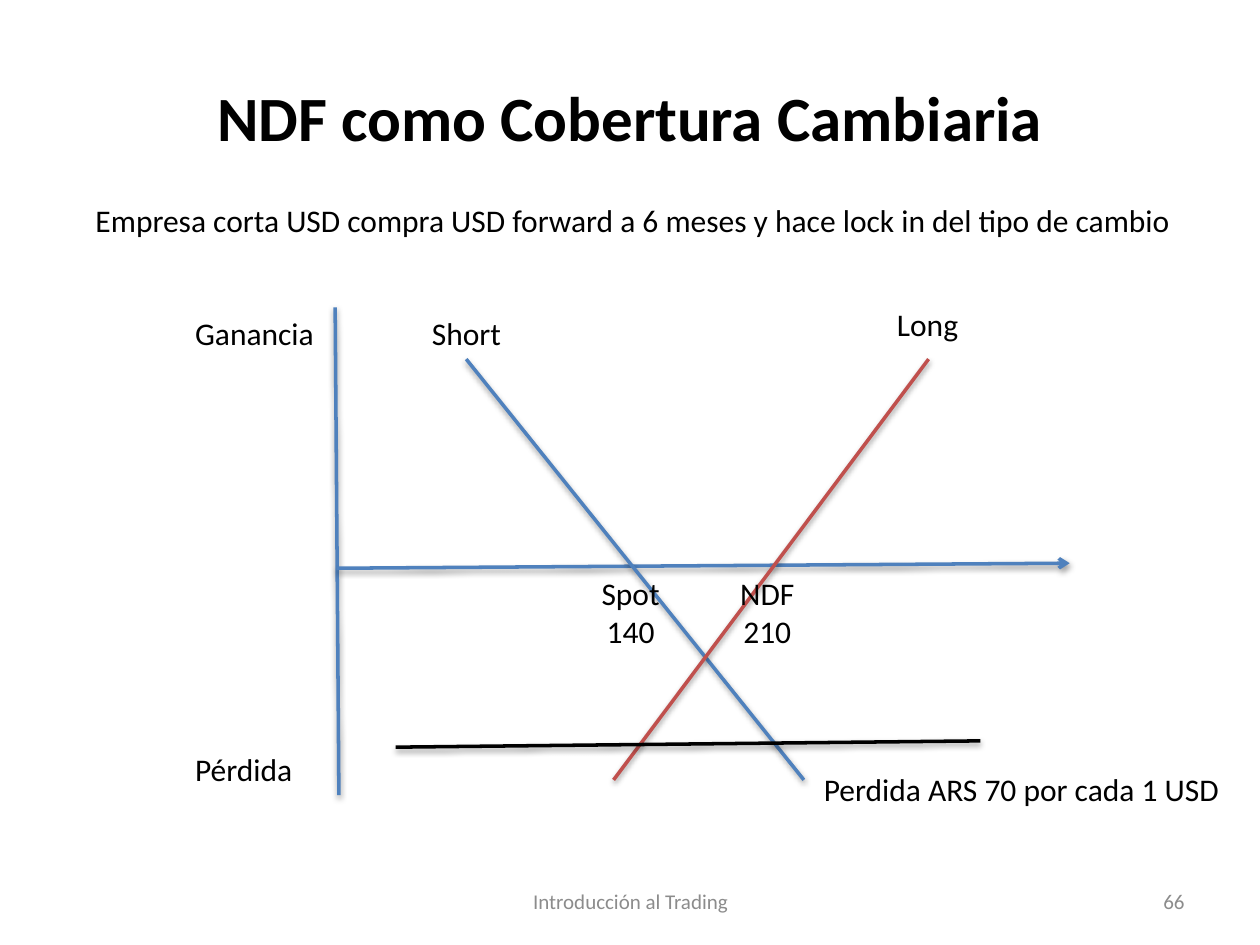
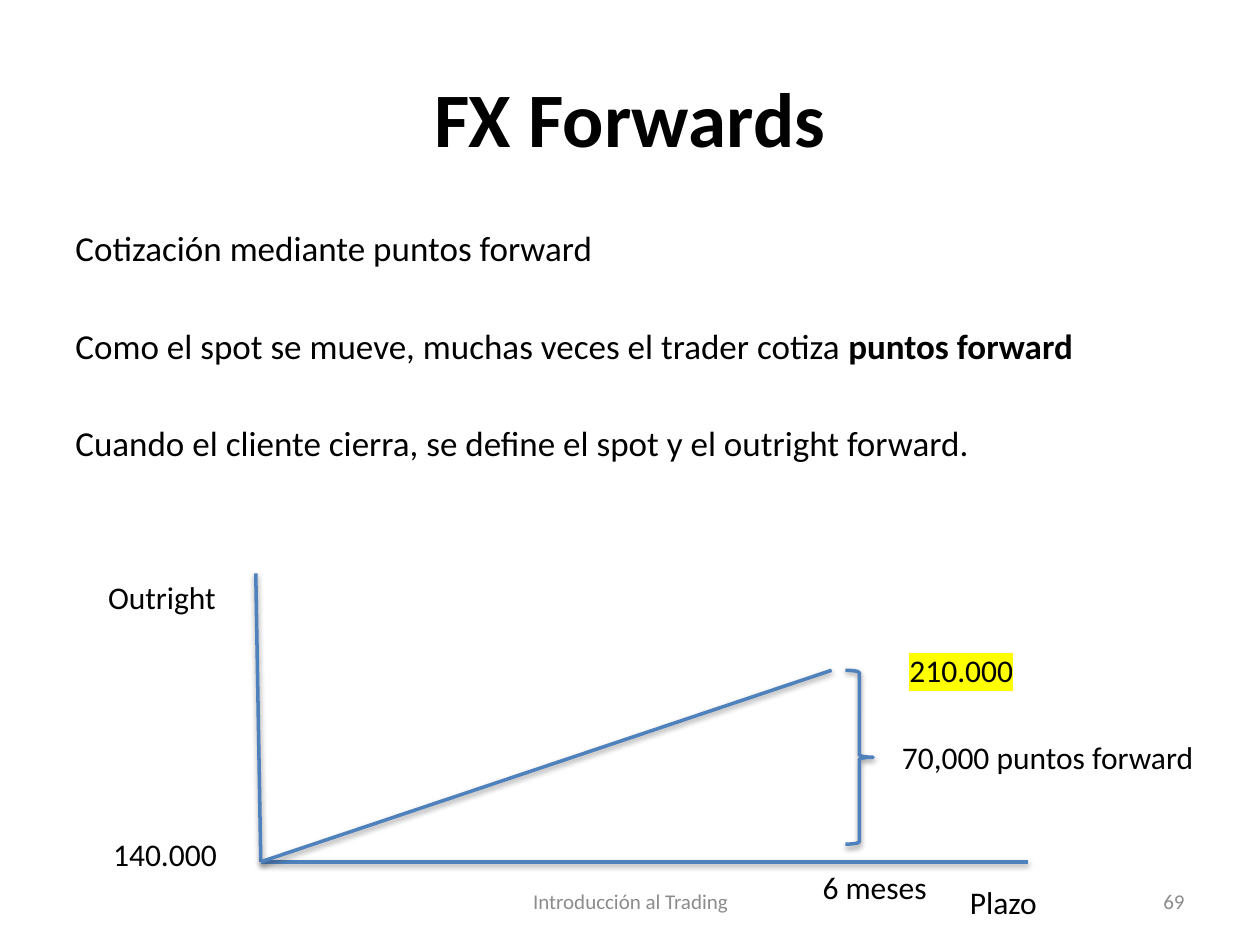
from pptx import Presentation
from pptx.dml.color import RGBColor
from pptx.enum.shapes import MSO_CONNECTOR, MSO_SHAPE
from pptx.enum.text import MSO_ANCHOR, MSO_AUTO_SIZE, PP_ALIGN
from pptx.oxml import parse_xml
from pptx.oxml.ns import nsdecls
from pptx.util import Inches, Pt

COLORS = {"text": "000000", "muted": "8C8C8C", "blue": "4F81BD",
          "red": "C0504D", "yellow": "FFFF00"}
FONT = "Calibri"
LABEL_HEIGHT = 0.4


def rgb(name):
    """Return the palette colour with this name."""
    return RGBColor.from_string(COLORS[name])


def drawing_xml(tag, content="", attributes=""):
    """Return a new DrawingML element."""
    return parse_xml(f"<a:{tag} {nsdecls('a')} {attributes}>{content}</a:{tag}>")


def add_run(paragraph, text, size=18, color="text", bold=False, highlight=None):
    """Add formatted text to a paragraph."""
    run = paragraph.add_run()
    run.text = text
    font = run.font
    font.name, font.size, font.bold = FONT, Pt(size), bold
    font.color.rgb = rgb(color)
    if highlight:
        mark = drawing_xml("highlight", f'<a:srgbClr val="{COLORS[highlight]}"/>')
        run._r.get_or_add_rPr().find("{*}solidFill").addnext(mark)


class Deck:
    """Hold the presentation style and the current slide."""

    def __init__(self):
        """Start an empty 4:3 presentation."""
        self.presentation = Presentation()
        self.presentation.slide_width = Inches(10)
        self.presentation.slide_height = Inches(7.5)
        self.slide = None

    def add_slide(self, title, number, title_size):
        """Add a slide with its title and footer."""
        layout = self.presentation.slide_layouts.get_by_name("Title Only")
        self.slide = self.presentation.slides.add_slide(layout)
        shape = self.slide.shapes.title
        shape.left, shape.top = Inches(0.5), Inches(0.3)
        shape.width, shape.height = Inches(9), Inches(1.25)
        shape.text_frame.vertical_anchor = MSO_ANCHOR.MIDDLE
        paragraph = shape.text_frame.paragraphs[0]
        paragraph.alignment = PP_ALIGN.CENTER
        add_run(paragraph, title, size=title_size, bold=True)
        self.footer("Introducción al Trading", 3.42, 3.17, PP_ALIGN.CENTER)
        self.footer(number, 7.17, 2.33, PP_ALIGN.RIGHT)

    def text_box(self, left, top, width, height, wrap=True):
        """Add an empty text box and return its text frame."""
        box = self.slide.shapes.add_textbox(
            Inches(left), Inches(top), Inches(width), Inches(height))
        box.text_frame.word_wrap = wrap
        return box.text_frame

    def footer(self, text, left, width, alignment):
        """Add one item of the footer row."""
        frame = self.text_box(left, 6.95, width, 0.4)
        frame.vertical_anchor = MSO_ANCHOR.MIDDLE
        paragraph = frame.paragraphs[0]
        paragraph.alignment = alignment
        add_run(paragraph, text, size=12, color="muted")

    def label(self, text, left, top, width, height=LABEL_HEIGHT,
              alignment=PP_ALIGN.LEFT, **style):
        """Add a label with one paragraph for each line of text."""
        frame = self.text_box(left, top, width, height, wrap=False)
        frame.auto_size = MSO_AUTO_SIZE.SHAPE_TO_FIT_TEXT
        for index, line in enumerate(text.split("\n")):
            paragraph = frame.add_paragraph() if index else frame.paragraphs[0]
            paragraph.alignment = alignment
            add_run(paragraph, line, **style)

    def body(self, paragraphs):
        """Add body paragraphs, each a list of (text, bold) pairs."""
        frame = self.text_box(0.5, 1.75, 9, 2.34)
        for index, parts in enumerate(paragraphs):
            paragraph = frame.add_paragraph() if index else frame.paragraphs[0]
            paragraph.space_before = Pt(31.6 if index else 0)
            for text, bold in parts:
                add_run(paragraph, text, size=20, bold=bold)

    def outline(self, shape, color):
        """Give a shape the common line and soft shadow."""
        shape.line.color.rgb = rgb(color)
        shape.line.width = Pt(2)
        shadow = ('<a:outerShdw blurRad="40000" dist="20000" dir="5400000" '
                  'rotWithShape="0"><a:srgbClr val="000000">'
                  '<a:alpha val="38000"/></a:srgbClr></a:outerShdw>')
        shape._element.spPr.append(drawing_xml("effectLst", shadow))

    def line(self, start, end, color="blue", arrow=False):
        """Draw a straight line between two points."""
        connector = self.slide.shapes.add_connector(
            MSO_CONNECTOR.STRAIGHT, *map(Inches, start + end))
        self.outline(connector, color)
        if arrow:
            connector.line._get_or_add_ln().append(
                drawing_xml("tailEnd", attributes='type="arrow"'))

    def brace(self, left, top, width, height):
        """Draw a right brace."""
        shape = self.slide.shapes.add_shape(
            MSO_SHAPE.RIGHT_BRACE, Inches(left), Inches(top),
            Inches(width), Inches(height))
        shape.fill.background()
        self.outline(shape, "blue")


def build_hedge(deck):
    """Build the payoff diagram of the currency hedge."""
    deck.add_slide("NDF como Cobertura Cambiaria", "66", 36)
    payoff_top, payoff_bottom = 2.85, 6.19
    deck.line((2.66, 2.44), (2.69, 6.31))
    deck.line((2.67, 4.51), (8.49, 4.47), arrow=True)
    deck.line((3.7, payoff_top), (6.38, payoff_bottom))
    deck.line((4.87, payoff_bottom), (7.37, payoff_top), "red")
    deck.line((3.14, 5.93), (7.78, 5.88), "text")
    for text, left, top, width in (
            ("Ganancia", 1.45, 2.44, 1.15),
            ("Pérdida", 1.45, 5.9, 0.99),
            ("Short", 3.33, 2.44, 0.76),
            ("Long", 7.02, 2.37, 0.69),
            ("Empresa corta USD compra USD forward a 6 meses y hace lock in "
             "del tipo de cambio", 0.66, 1.55, 8.77),
            ("Perdida ARS 70 por cada 1 USD", 6.44, 6.06, 3.38)):
        deck.label(text, left, top, width)
    for text, left, width in (("Spot\n140", 4.67, 0.67), ("NDF\n210", 5.77, 0.64)):
        deck.label(text, left, 4.51, width, 0.71, PP_ALIGN.CENTER)


def build_forwards(deck):
    """Build the forward points slide."""
    deck.add_slide("FX Forwards", "69", 44)
    deck.body([
        [("Cotización mediante puntos forward", False)],
        [("Como el spot se mueve, muchas veces el trader cotiza ", False),
         ("puntos forward", True)],
        [("Cuando el cliente cierra, se define el spot y el outright forward.", False)],
    ])
    origin = (2.07, 6.84)
    deck.line((2.03, 4.55), origin)
    deck.line(origin, (8.16, 6.84))
    deck.line(origin, (6.6, 5.32))
    deck.brace(6.71, 5.32, 0.22, 1.38)
    for text, left, top, width in (
            ("Outright", 0.76, 4.54, 1.07),
            ("Plazo", 7.6, 6.96, 0.74),
            ("140.000", 0.8, 6.58, 1.03),
            ("70,000 puntos forward", 7.06, 5.81, 2.54),
            ("6 meses", 6.43, 6.84, 1.04)):
        deck.label(text, left, top, width)
    deck.label("210.000", 7.12, 5.12, 1.03, highlight="yellow")


def main():
    """Build and save the presentation."""
    deck = Deck()
    build_hedge(deck)
    build_forwards(deck)
    deck.presentation.save("out.pptx")


main()
